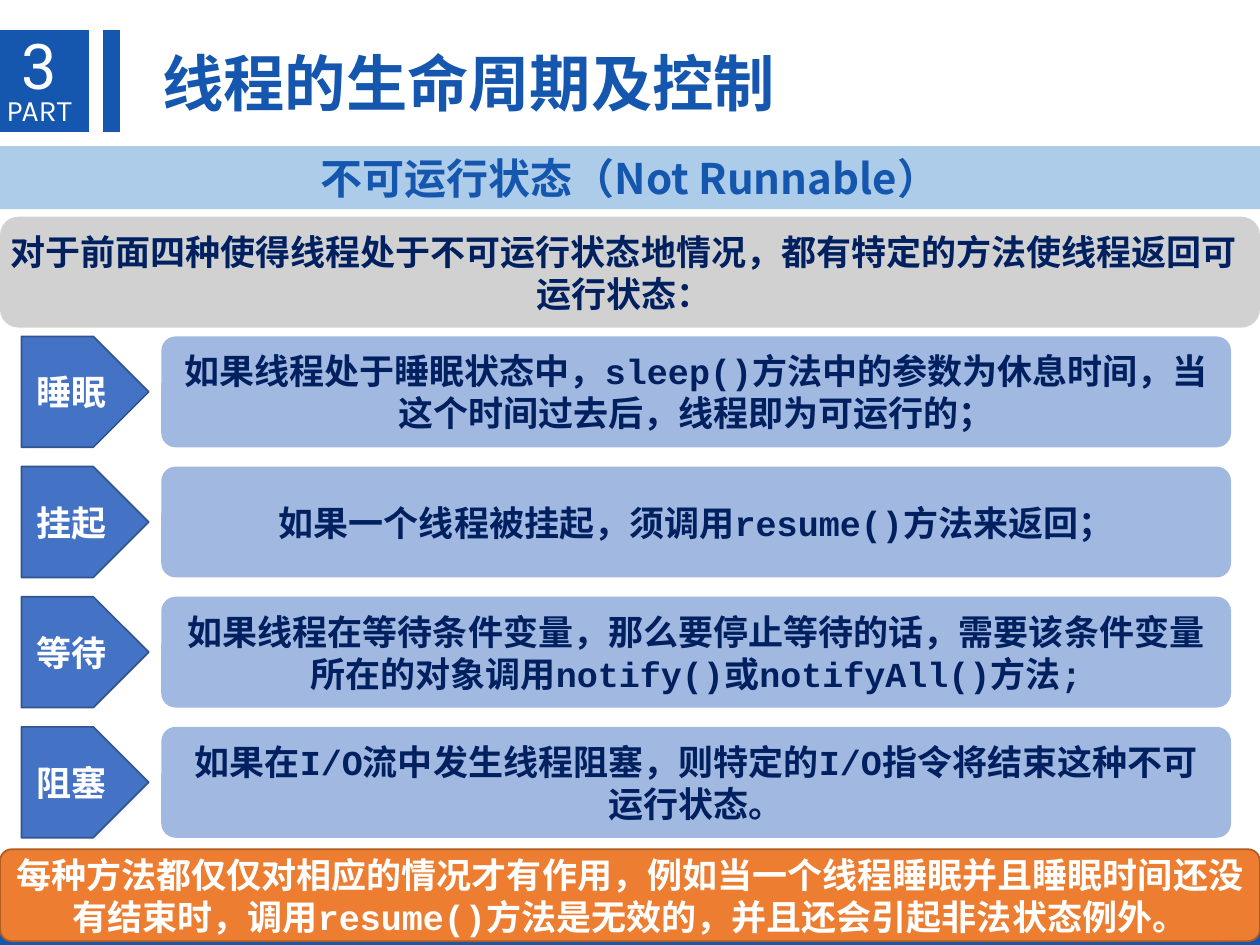
import pptx
import pptx.util
import pptx.dml.color
import pptx.enum.shapes
import pptx.enum.text
import pptx.oxml.ns
import lxml.etree

Inches = pptx.util.Inches
RGBColor = pptx.dml.color.RGBColor
KIND = pptx.enum.shapes.MSO_SHAPE
ALIGN = pptx.enum.text.PP_ALIGN
qn = pptx.oxml.ns.qn

NAVY = RGBColor(0x15, 0x57, 0xAE)
INK = RGBColor(0x00, 0x20, 0x60)
WHITE = RGBColor(0xFF, 0xFF, 0xFF)
SKY = RGBColor(0x5B, 0x9B, 0xD5)
GRAY = RGBColor(0xA5, 0xA5, 0xA5)
BLUE = RGBColor(0x44, 0x72, 0xC4)
EDGE = RGBColor(0x32, 0x54, 0x91)
ORANGE = RGBColor(0xED, 0x7D, 0x31)
RUST = RGBColor(0xAF, 0x5C, 0x24)
SANS = "Noto Sans CJK SC"
MONO = "Courier New"

deck = pptx.Presentation()
deck.slide_width = Inches(10)
deck.slide_height = Inches(7.5)
slide = deck.slides.add_slide(deck.slide_layouts[6])
shapes = slide.shapes


def write(shape, text, size=20, face=SANS, color=INK, bold=True,
          align=ALIGN.CENTER, wrap=True):
    frame = shape.text_frame
    frame.word_wrap = wrap
    para = frame.paragraphs[0]
    para.alignment = align
    run = para.add_run()
    run.text = text
    font = run.font
    font.size = pptx.util.Pt(size)
    font.name = face
    font.bold = bold
    font.color.rgb = color
    east = lxml.etree.SubElement(run._r.get_or_add_rPr(), qn("a:ea"))
    east.set("typeface", SANS)
    return frame


def block(kind, place, fill, line=None, round=None, clear=False):
    shape = shapes.add_shape(kind, *[Inches(n) for n in place])
    shape.shadow.inherit = False
    shape.fill.solid()
    shape.fill.fore_color.rgb = fill
    if clear:
        tint = shape.fill._xPr.find(qn("a:solidFill"))[0]
        lxml.etree.SubElement(tint, qn("a:alpha")).set("val", "50000")
    if line is None:
        shape.line.fill.background()
    else:
        shape.line.color.rgb = line
        shape.line.width = pptx.util.Pt(1)
    if round is not None:
        shape.adjustments[0] = round
    shape.text_frame.vertical_anchor = pptx.enum.text.MSO_ANCHOR.MIDDLE
    return shape


for place in [(0, 0.24, 0.71, 0.81), (0.82, 0.24, 0.13, 0.81), (0, 7.31, 10, 0.19)]:
    block(KIND.FLOWCHART_PROCESS, place, NAVY)

path = shapes.build_freeform(Inches(10), Inches(7.45), scale=1.0)
path.add_line_segments(
    [(Inches(x), Inches(y)) for x, y in [(10, 7.09), (8.42, 7.1), (8.26, 7.45)]])
wedge = path.convert_to_shape()
wedge.shadow.inherit = False
wedge.fill.solid()
wedge.fill.fore_color.rgb = NAVY
wedge.line.fill.background()

heads = [
    ((0.05, 0.73, 0.6, 0.29), "PART", 17, "Karla", WHITE, False, 0),
    ((0.07, 0.16, 0.53, 0.71), "3", 36, "Roboto", WHITE, False, 0.1),
    ((1.08, 0.31, 5.26, 0.69), " 线程的生命周期及控制", 35, SANS, NAVY, True, 0.1),
]
for place, text, size, face, color, bold, pad in heads:
    box = shapes.add_textbox(*[Inches(n) for n in place])
    frame = write(box, text, size=size, face=face, color=color, bold=bold,
                  align=ALIGN.LEFT, wrap=False)
    frame.auto_size = pptx.enum.text.MSO_AUTO_SIZE.SHAPE_TO_FIT_TEXT
    frame.margin_left = frame.margin_right = Inches(pad)
    frame.margin_top = frame.margin_bottom = Inches(pad / 2)

band = block(KIND.ROUNDED_RECTANGLE, (0, 1.16, 10, 0.5), SKY, round=0, clear=True)
write(band, "不可运行状态（Not Runnable）", size=24, color=NAVY)

lead = block(KIND.ROUNDED_RECTANGLE, (0, 1.72, 10, 0.88), GRAY, clear=True)
frame = write(lead, "对于前面四种使得线程处于不可运行状态地情况，都有特定的方法使线程返回可运行状态：")
frame.margin_left = 0

rows = [
    ("睡眠", "如果线程处于睡眠状态中，sleep()方法中的参数为休息时间，当这个时间过去后，线程即为可运行的；"),
    ("挂起", "如果一个线程被挂起，须调用resume()方法来返回；"),
    ("等待", "如果线程在等待条件变量，那么要停止等待的话，需要该条件变量所在的对象调用notify()或notifyAll()方法;"),
    ("阻塞", "如果在I/O流中发生线程阻塞，则特定的I/O指令将结束这种不可运行状态。"),
]
for i, (state, text) in enumerate(rows):
    top = 2.67 + 1.033 * i
    tag = block(KIND.PENTAGON, (0.17, top, 1.01, 0.88), BLUE, line=EDGE)
    write(tag, state, color=WHITE)
    card = block(KIND.ROUNDED_RECTANGLE, (1.28, top, 8.49, 0.88), BLUE,
                 round=0.13, clear=True)
    write(card, text, face=MONO)

note = block(KIND.ROUNDED_RECTANGLE, (0, 6.74, 10, 0.73), ORANGE, line=RUST, round=0.13)
write(note, "每种方法都仅仅对相应的情况才有作用，例如当一个线程睡眠并且睡眠时间还没有结束时，"
      "调用resume()方法是无效的，并且还会引起非法状态例外。", face=MONO, color=WHITE)

deck.save("out.pptx")
